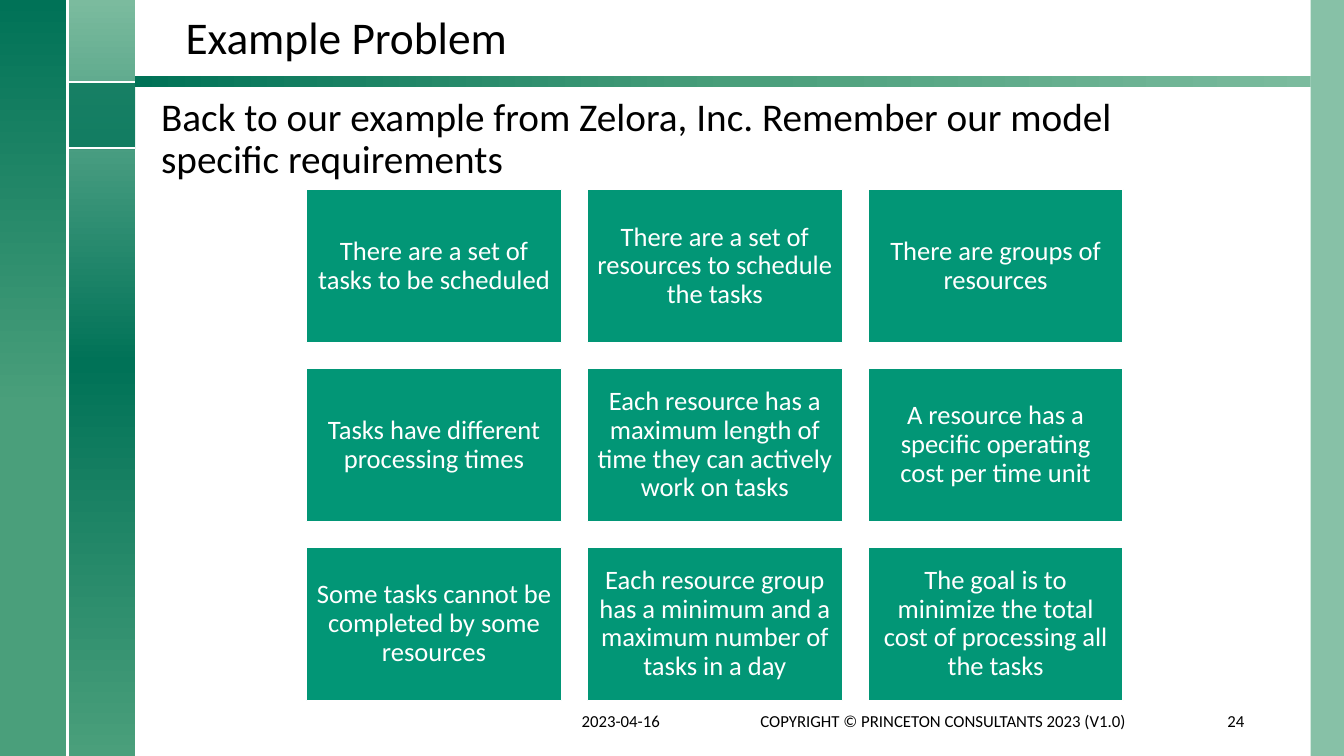
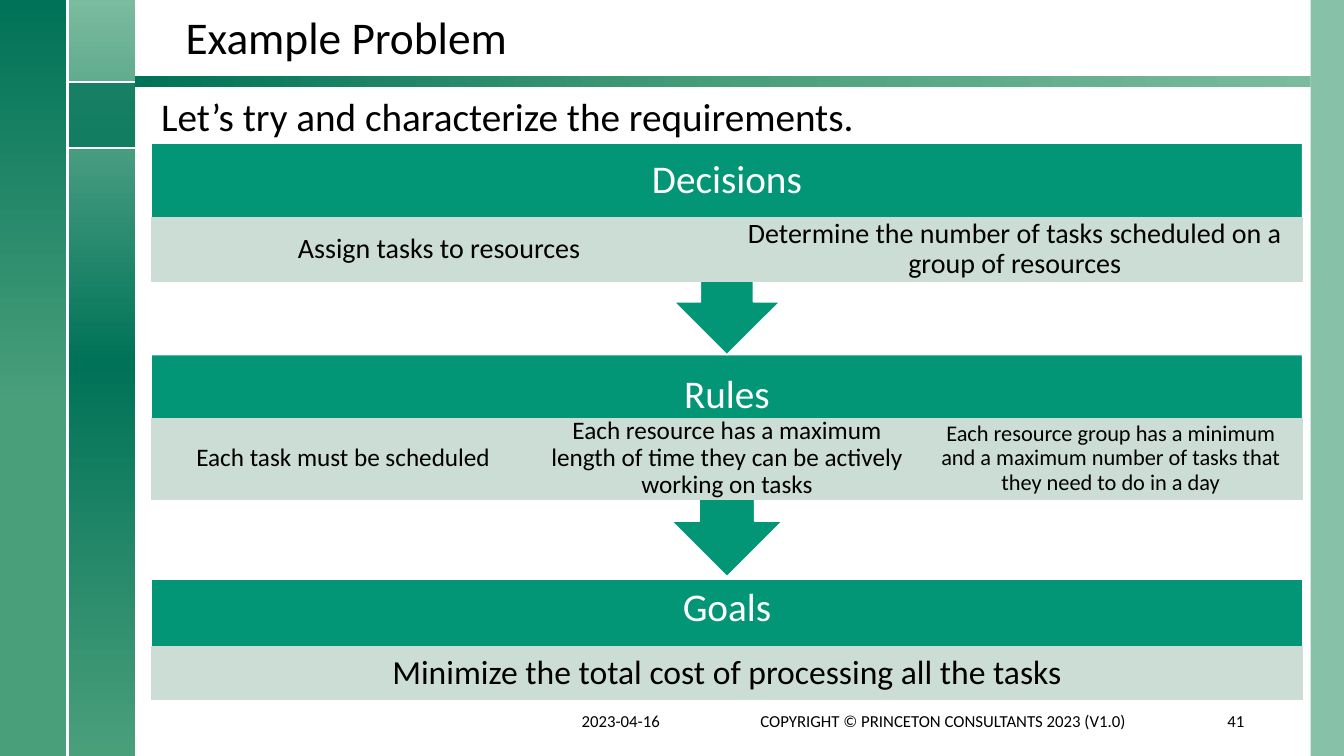
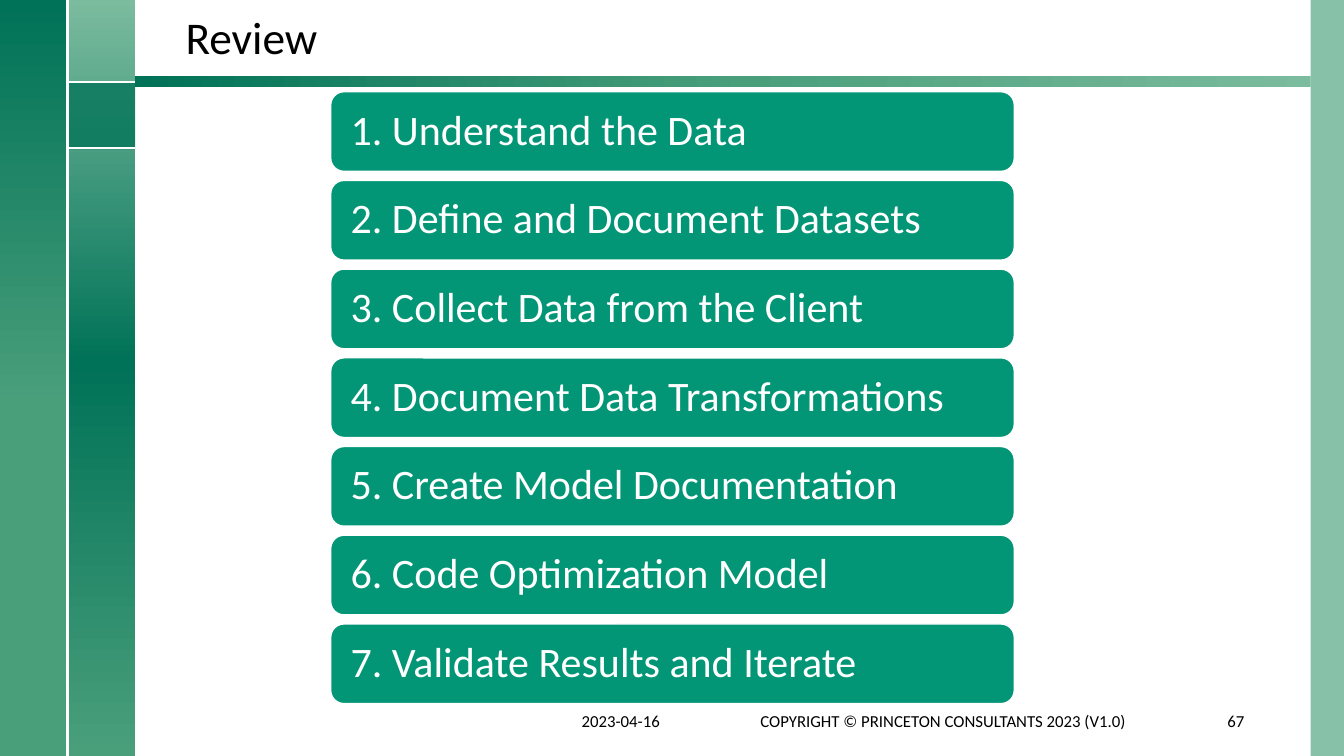
from lxml import etree
from pptx import Presentation
from pptx.dml.color import RGBColor
from pptx.enum.shapes import MSO_CONNECTOR, MSO_SHAPE
from pptx.enum.text import MSO_ANCHOR, MSO_AUTO_SIZE, PP_ALIGN
from pptx.oxml.ns import qn
from pptx.util import Inches, Pt

RECTANGLE = MSO_SHAPE.RECTANGLE
ROUNDED = MSO_SHAPE.ROUNDED_RECTANGLE
CALLOUT = MSO_SHAPE.DOWN_ARROW_CALLOUT
STRAIGHT = MSO_CONNECTOR.STRAIGHT
LEFT, CENTER, RIGHT = PP_ALIGN.LEFT, PP_ALIGN.CENTER, PP_ALIGN.RIGHT
TOP, MIDDLE, BOTTOM = MSO_ANCHOR.TOP, MSO_ANCHOR.MIDDLE, MSO_ANCHOR.BOTTOM

FONT = "Calibri"
BLACK = RGBColor(0x00, 0x00, 0x00)
WHITE = RGBColor(0xFF, 0xFF, 0xFF)
TEAL = RGBColor(0x02, 0x96, 0x76)
PALE = RGBColor(0xCC, 0xDD, 0xD6)
LIGHT = RGBColor(0x7B, 0xBB, 0x9E)
MEDIUM = RGBColor(0x4A, 0x9F, 0x7B)
DARK = RGBColor(0x00, 0x72, 0x57)

GRADIENT_BANDS = [
    ((0.67, 0, 0.67, 7.5), [(0, LIGHT), (48, DARK), (100, MEDIUM)], 270),
    ((0, 0, 0.67, 7.5), [(0, MEDIUM), (46, MEDIUM), (100, DARK)], 90),
    ((1.34, 0.75, 11.66, 0.11), [(0, LIGHT), (48, MEDIUM), (100, DARK)], 180),
]
CLEAR_BANDS = [
    ((13, 0, 0.33, 7.5), LIGHT, 90),
    ((0.67, 0.81, 0.67, 0.67), DARK, 75),
]
BAND_LINES = [
    (0.67, 0.81, 1.34, 0.81),
    (0.67, 1.47, 1.34, 1.47),
    (0.67, 0, 0.67, 7.5),
]
DATE = "2023-04-16"
COPYRIGHT = "COPYRIGHT © PRINCETON CONSULTANTS 2023 (V1.0)"

REQUIREMENTS_LEAD = "Back to our example from Zelora, Inc. Remember our model specific requirements"
REQUIREMENTS = [
    "There are a set of tasks to be scheduled",
    "There are a set of resources to schedule the tasks",
    "There are groups of resources",
    "Tasks have different processing times",
    "Each resource has a maximum length of time they can actively work on tasks",
    "A resource has a specific operating cost per time unit",
    "Some tasks cannot be completed by some resources",
    "Each resource group has a minimum and a maximum number of tasks in a day",
    "The goal is to minimize the total cost of processing all the tasks",
]
STAGES_LEAD = "Let’s try and characterize the requirements."
STAGES = [
    dict(name="Decisions", shape=CALLOUT, top=1.42, height=2.1,
         panel_top=2.16, panel_height=0.63, margins=(0.14, 0.03),
         panels=[("Assign tasks to resources", 20),
                 ("Determine the number of tasks scheduled on a group of resources", 20)]),
    dict(name="Rules", shape=CALLOUT, top=3.52, height=2.2,
         panel_top=4.15, panel_height=0.8, margins=(0.08, 0.01),
         panels=[("Each task must be scheduled", 18),
                 ("Each resource has a maximum length of time they can be actively working on tasks", 18),
                 ("Each resource group has a minimum and a maximum number of tasks "
                  "that they need to do in a day", 16)]),
    dict(name="Goals", shape=RECTANGLE, top=5.75, height=1.2,
         panel_top=6.42, panel_height=0.52, margins=(0.19, 0.03),
         panels=[("Minimize the total cost of processing all the tasks", 24)]),
]
STEPS = [
    "1. Understand the Data",
    "2. Define and Document Datasets",
    "3. Collect Data from the Client",
    "4. Document Data Transformations",
    "5. Create Model Documentation",
    "6. Code Optimization Model",
    "7. Validate Results and Iterate",
]


def write_text(shape, text, size, color=BLACK, align=LEFT, anchor=MIDDLE,
               margins=(0.1, 0.05, 0.1, 0.05), spacing=0.9):
    frame = shape.text_frame
    frame.word_wrap = True
    frame.auto_size = MSO_AUTO_SIZE.NONE
    frame.vertical_anchor = anchor
    (frame.margin_left, frame.margin_top,
     frame.margin_right, frame.margin_bottom) = map(Inches, margins)
    frame.text = text
    paragraph = frame.paragraphs[0]
    paragraph.alignment = align
    paragraph.line_spacing = spacing
    paragraph.font.name = FONT
    paragraph.font.size = Pt(size)
    paragraph.font.color.rgb = color


def add_text(slide, box, text, size, **style):
    write_text(slide.shapes.add_textbox(*map(Inches, box)), text, size, **style)


def add_box(slide, kind, box, fill=None, line=None):
    shape = slide.shapes.add_shape(kind, *map(Inches, box))
    shape.shadow.inherit = False
    if fill is not None:
        shape.fill.solid()
        shape.fill.fore_color.rgb = fill
    if line is None:
        shape.line.fill.background()
    else:
        shape.line.color.rgb = line
        shape.line.width = Pt(1)
    return shape


def add_clear_band(slide, box, color, opacity):
    band = add_box(slide, RECTANGLE, box, color)
    fill_color = next(band._element.spPr.iter(qn("a:srgbClr")))
    etree.SubElement(fill_color, qn("a:alpha"), val=str(opacity * 1000))
    return band


def add_gradient_band(slide, box, stops, angle):
    band = add_box(slide, RECTANGLE, box)
    band.fill.gradient()
    band.fill.gradient_angle = angle
    stop_list = next(band._element.spPr.iter(qn("a:gsLst")))
    stop_list.clear()
    for position, color in stops:
        stop = etree.SubElement(stop_list, qn("a:gs"), pos=str(position * 1000))
        etree.SubElement(stop, qn("a:srgbClr"), val=str(color))
    return band


def add_band_line(slide, ends):
    connector = slide.shapes.add_connector(STRAIGHT, *map(Inches, ends))
    connector.line.color.rgb = WHITE
    connector.line.width = Pt(1.5)
    etree.SubElement(connector._element.spPr, qn("a:effectLst"))
    return connector


def decorate_layout(layout, slide):
    bands = [add_gradient_band(slide, *band) for band in GRADIENT_BANDS]
    bands += [add_clear_band(slide, *band) for band in CLEAR_BANDS]
    bands += [add_band_line(slide, ends) for ends in BAND_LINES]
    for position, band in enumerate(bands):
        next(band._element.iter(qn("p:cNvPr"))).set("id", str(100 + position))
        layout.shapes._spTree.insert(2 + position, band._element)


def start_slide(presentation, layout, title, number, lead=None):
    slide = presentation.slides.add_slide(layout)
    heading = slide.shapes.title
    heading.left, heading.top, heading.width, heading.height = map(
        Inches, (1.74, 0.08, 10.7, 0.61))
    write_text(heading, title, 32.4, anchor=BOTTOM)
    if lead:
        add_text(slide, (1.5, 0.92, 10.7, 1.25), lead, 28, anchor=TOP)
    add_text(slide, (5.67, 6.95, 1.33, 0.4), DATE, 12, spacing=1)
    add_text(slide, (7.16, 6.95, 4.39, 0.4), COPYRIGHT, 12, align=CENTER, spacing=1)
    add_text(slide, (11.77, 6.95, 0.67, 0.4), number, 12, align=RIGHT, spacing=1)
    return slide


def add_requirements(slide):
    width, height, gap = 2.53, 1.52, 0.255
    for index, text in enumerate(REQUIREMENTS):
        row, column = divmod(index, 3)
        box = (3.04 + column * (width + gap), 1.88 + row * (height + gap), width, height)
        write_text(add_box(slide, RECTANGLE, box, TEAL, WHITE), text, 19,
                   color=WHITE, align=CENTER, margins=(0.08,) * 4)


def add_stages(slide):
    left, width = 1.5, 11.42
    for stage in reversed(STAGES):
        block = add_box(slide, stage["shape"],
                        (left, stage["top"], width, stage["height"]), TEAL, WHITE)
        if stage["shape"] == CALLOUT:
            for index, value in enumerate((0.25, 0.25, 0.25, 0.65)):
                block.adjustments[index] = value
        write_text(block, stage["name"], 28, color=WHITE, align=CENTER,
                   margins=(0.22, 0.22, 0.22, 0.84))
        panel_width = width / len(stage["panels"])
        for index, (text, size) in enumerate(stage["panels"]):
            panel = add_box(slide, RECTANGLE,
                            (left + index * panel_width, stage["panel_top"],
                             panel_width, stage["panel_height"]), PALE, PALE)
            write_text(panel, text, size, align=CENTER, margins=stage["margins"] * 2)


def add_steps(slide):
    for index, text in enumerate(STEPS):
        box = (3.28, 0.91 + index * 0.88, 6.78, 0.79)
        write_text(add_box(slide, ROUNDED, box, TEAL, WHITE), text, 30,
                   color=WHITE, margins=(0.16, 0.12, 0.16, 0.12))


def main():
    presentation = Presentation()
    presentation.slide_width = Inches(13.33)
    presentation.slide_height = Inches(7.5)
    layout = presentation.slide_layouts[5]
    requirements = start_slide(presentation, layout, "Example Problem", "24", REQUIREMENTS_LEAD)
    decorate_layout(layout, requirements)
    add_requirements(requirements)
    add_stages(start_slide(presentation, layout, "Example Problem", "41", STAGES_LEAD))
    add_steps(start_slide(presentation, layout, "Review", "67"))
    presentation.save("out.pptx")


if __name__ == "__main__":
    main()
